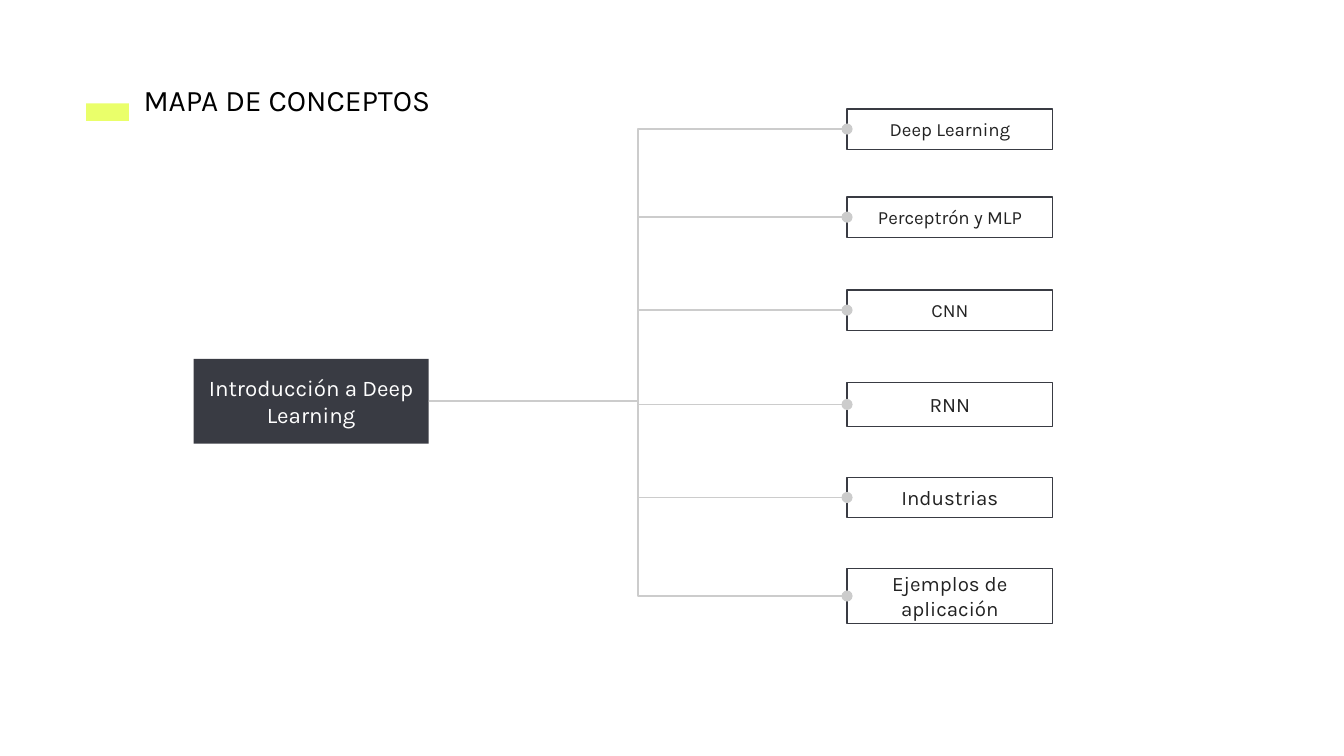
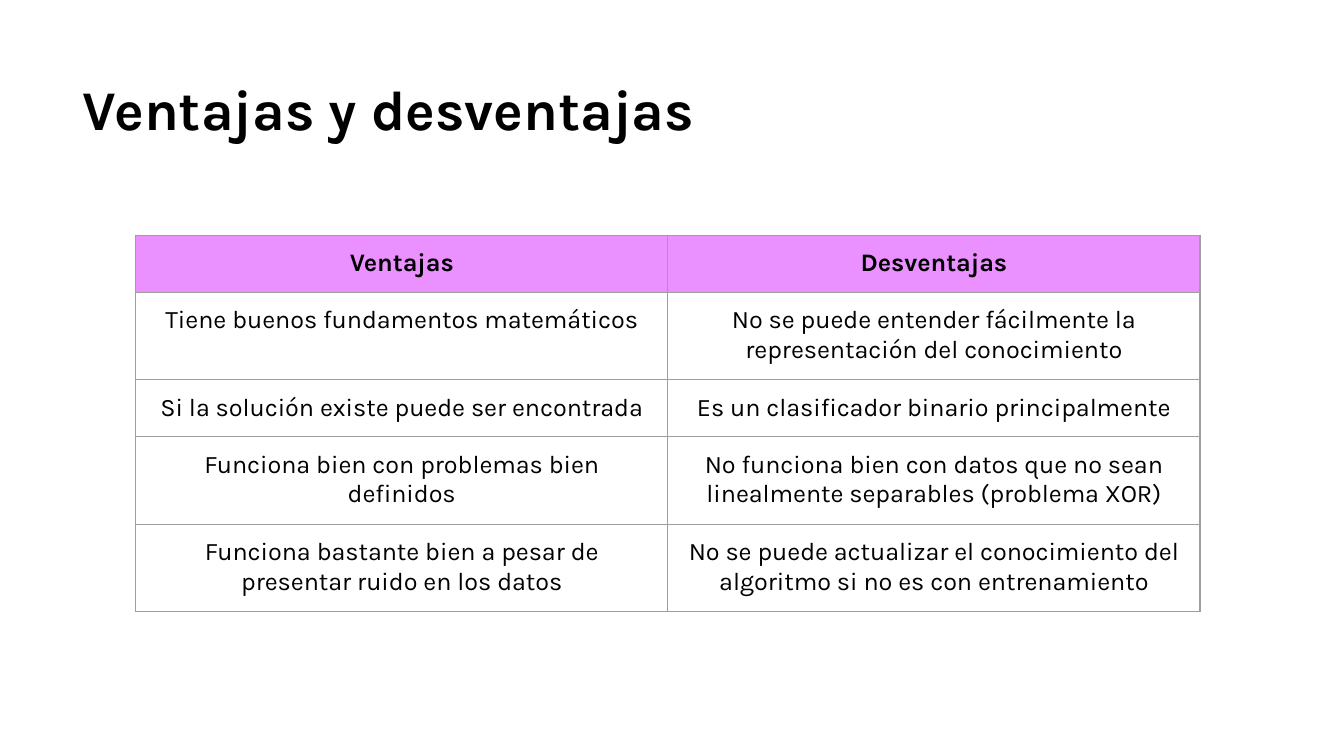
from lxml import etree
from pptx import Presentation
from pptx.dml.color import RGBColor
from pptx.enum.shapes import MSO_CONNECTOR, MSO_SHAPE
from pptx.enum.text import MSO_ANCHOR, PP_ALIGN
from pptx.oxml.ns import qn
from pptx.util import Pt

RECT = MSO_SHAPE.RECTANGLE
ELBOW = MSO_CONNECTOR.ELBOW
LEFT, CENTER = PP_ALIGN.LEFT, PP_ALIGN.CENTER
TOP, MIDDLE = MSO_ANCHOR.TOP, MSO_ANCHOR.MIDDLE
LEFT_SITE, RIGHT_SITE = 1, 3

FONT = "Karla"
INSET = 7.2
RULE = 0.75
COLORS = {
    "black": "000000",
    "white": "FFFFFF",
    "dark": "393B43",
    "text": "222222",
    "link": "CCCCCC",
    "grid": "9E9E9E",
    "lime": "EAFF6A",
    "pink": "EA90FF",
}

TOPICS = [
    ("Deep Learning", 0, 21.6, 10),
    ("Perceptrón y MLP", 47.2, 21.6, 10),
    ("CNN", 97, 21.6, 10),
    ("RNN", 146.5, 23.6, 11),
    ("Industrias", 197.3, 21.6, 11),
    ("Ejemplos de aplicación", 246.2, 29.4, 11),
]

ROWS = [
    ("Ventajas", "Desventajas"),
    ("Tiene buenos fundamentos matemáticos",
     "No se puede entender fácilmente la representación del conocimiento"),
    ("Si la solución existe puede ser encontrada",
     "Es un clasificador binario principalmente"),
    ("Funciona bien con problemas bien definidos",
     "No funciona bien con datos que no sean linealmente separables (problema XOR)"),
    ("Funciona bastante bien a pesar de presentar ruido en los datos",
     "No se puede actualizar el conocimiento del algoritmo si no es con entrenamiento"),
]


def color(name):
    """Return a palette colour."""
    return RGBColor.from_string(COLORS[name])


def write(frame, text, size=12, ink="black", bold=False, align=LEFT,
          anchor=TOP, space=None):
    """Put formatted text into a text frame."""
    frame.word_wrap = True
    frame.vertical_anchor = anchor
    frame.margin_left = frame.margin_right = Pt(INSET)
    frame.margin_top = frame.margin_bottom = Pt(INSET)
    para = frame.paragraphs[0]
    para.alignment = align
    if space:
        para.line_spacing = space
    run = para.add_run()
    run.text = text
    run.font.name = FONT
    run.font.size = Pt(size)
    run.font.bold = bold
    run.font.color.rgb = color(ink)


def block(slide, box, fill, edge=None):
    """Add a filled rectangle, with an outline if an edge is named."""
    shape = slide.shapes.add_shape(RECT, *map(Pt, box))
    shape.shadow.inherit = False
    shape.fill.solid()
    shape.fill.fore_color.rgb = color(fill)
    if edge:
        shape.line.color.rgb = color(edge)
        shape.line.width = Pt(RULE)
    else:
        shape.line.fill.background()
    return shape


def title(slide, box, text, **style):
    """Add a slide title."""
    frame = slide.shapes.add_textbox(*map(Pt, box)).text_frame
    write(frame, text, **style)


def heading(slide, box, text):
    """Add a title with a lime marker at its left."""
    left, top, width, height = box
    block(slide, (left, top + 18.7, 23, 9.4), "lime")
    title(slide, (left + 23.7, top, width - 23.7, height), text, size=16)


def link(slide, start, end):
    """Join two blocks with an elbow that ends in a dot."""
    line = slide.shapes.add_connector(
        ELBOW, start.left + start.width, start.top + start.height // 2,
        end.left, end.top + end.height // 2)
    line.begin_connect(start, RIGHT_SITE)
    line.end_connect(end, LEFT_SITE)
    line.line.color.rgb = color("link")
    line.line.width = Pt(RULE)
    etree.SubElement(line.line._get_or_add_ln(), qn("a:tailEnd"), type="oval")
    etree.SubElement(line._element.spPr, qn("a:effectLst"))


def tree(slide, box):
    """Draw the root block, its topics and their links."""
    left, top, width, height = box
    root = block(slide, (left, top + 133.9, 126, 45.4), "dark")
    write(root.text_frame, "Introducción a Deep Learning", ink="white",
          align=CENTER, anchor=MIDDLE)
    wide = 110.2
    leaves = []
    for text, drop, tall, size in TOPICS:
        leaf = block(slide, (left + width - wide, top + drop, wide, tall),
                     "white", "dark")
        write(leaf.text_frame, text, size=size, ink="text", align=CENTER,
              anchor=MIDDLE)
        leaves.append(leaf)
    for leaf in leaves:
        link(slide, root, leaf)


def border(cell):
    """Draw the four grid lines of a cell."""
    props = cell._tc.get_or_add_tcPr()
    for side in ("lnL", "lnR", "lnT", "lnB"):
        line = etree.SubElement(props, qn("a:" + side), w=str(Pt(RULE)))
        fill = etree.SubElement(line, qn("a:solidFill"))
        etree.SubElement(fill, qn("a:srgbClr"), val=COLORS["grid"])


def grid(slide, box, rows):
    """Add a table with a pink header row."""
    table = slide.shapes.add_table(
        len(rows), len(rows[0]), *map(Pt, box)).table
    table.first_row = table.horz_banding = False
    for i, row in enumerate(rows):
        for j, text in enumerate(row):
            cell = table.cell(i, j)
            head = i == 0
            border(cell)
            if head:
                cell.fill.solid()
                cell.fill.fore_color.rgb = color("pink")
            else:
                cell.fill.background()
            cell.margin_left = cell.margin_right = Pt(INSET)
            cell.margin_top = cell.margin_bottom = Pt(INSET)
            write(cell.text_frame, text, size=13.5, bold=head, align=CENTER)


def concepts(slide):
    """Fill the concept map slide."""
    heading(slide, (46.1, 36.7, 217.4, 33.8), "MAPA DE CONCEPTOS")
    tree(slide, (103.7, 58.4, 460.3, 275.6))


def balance(slide):
    """Fill the slide of pros and cons."""
    title(slide, (37.4, 36.7, 640.8, 47.5), "Ventajas y desventajas",
          size=30, bold=True, space=0.9)
    grid(slide, (72.7, 126, 570.2, 151.2), ROWS)


def main():
    """Build and save the deck."""
    deck = Presentation()
    deck.slide_width, deck.slide_height = Pt(720), Pt(405)
    blank = deck.slide_layouts[6]
    for fill in (concepts, balance):
        fill(deck.slides.add_slide(blank))
    deck.save("out.pptx")


if __name__ == "__main__":
    main()
